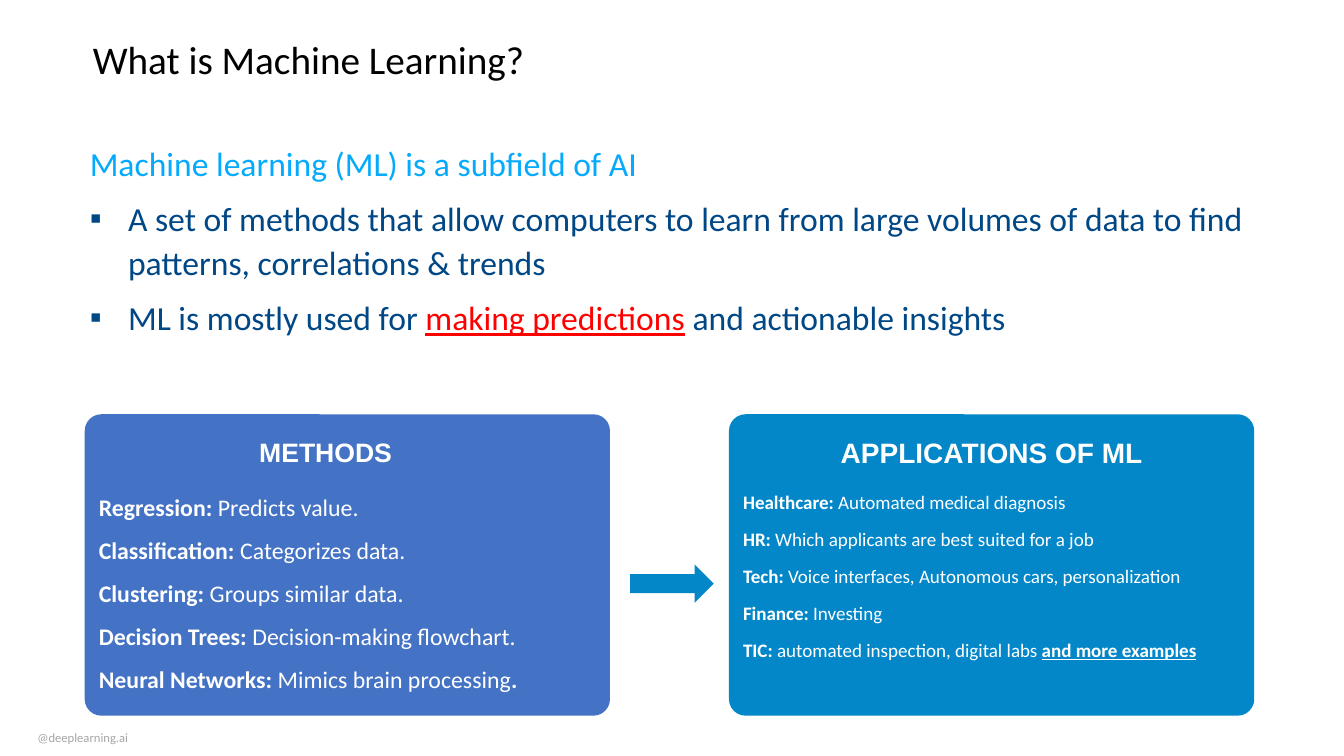
from dataclasses import dataclass

from lxml import etree
from pptx import Presentation
from pptx.dml.color import RGBColor
from pptx.enum.shapes import MSO_SHAPE
from pptx.enum.text import MSO_ANCHOR, MSO_AUTO_SIZE, PP_ALIGN
from pptx.oxml.ns import qn
from pptx.util import Inches, Pt

LEFT, CENTER = PP_ALIGN.LEFT, PP_ALIGN.CENTER
TOP, NO_FIT = MSO_ANCHOR.TOP, MSO_AUTO_SIZE.NONE
ROUNDED, ARROW = MSO_SHAPE.ROUNDED_RECTANGLE, MSO_SHAPE.RIGHT_ARROW


@dataclass(frozen=True)
class Theme:
    black: str = "000000"
    white: str = "FFFFFF"
    sky: str = "06AAFC"
    navy: str = "004785"
    red: str = "FF0000"
    indigo: str = "4472C4"
    ocean: str = "0487C8"
    gray: str = "A6A6A6"
    text_font: str = "Calibri"
    heading_font: str = "Arial"
    title_size: float = 28
    body_size: float = 24
    methods_heading_size: float = 19
    applications_heading_size: float = 20
    methods_size: float = 17
    applications_size: float = 13.6
    footer_size: float = 9


THEME = Theme()


def write(box, paragraphs, at=None, inset=0, size=12, color=THEME.black, font=THEME.text_font,
          align=LEFT, line=1.0, before=0, bullet_from=None):
    if at:
        box.left, box.top, box.width, box.height = [Inches(length) for length in at]
    frame = box.text_frame
    frame.word_wrap, frame.auto_size, frame.vertical_anchor = True, NO_FIT, TOP
    frame.margin_left = frame.margin_right = Inches(inset)
    frame.margin_top = frame.margin_bottom = Inches(inset)
    for index, pieces in enumerate(paragraphs):
        paragraph = frame.add_paragraph() if index else frame.paragraphs[0]
        if bullet_from is not None:
            properties = paragraph._p.get_or_add_pPr()
            bulleted = index >= bullet_from
            hang = Inches(0.38) if bulleted else 0
            properties.set("marL", str(hang))
            properties.set("indent", str(-hang))
            if bulleted:
                paragraph.level = 1
                bullet_color = etree.SubElement(properties, qn("a:buClr"))
                etree.SubElement(bullet_color, qn("a:srgbClr"), val=THEME.navy)
                etree.SubElement(properties, qn("a:buChar"), char="▪")
            else:
                etree.SubElement(properties, qn("a:buNone"))
        paragraph.alignment = align
        paragraph.line_spacing = line
        paragraph.space_before = Pt(before if index else 0)
        for text, style in pieces:
            run = paragraph.add_run()
            run.text = text
            run.font.name, run.font.size = font, Pt(size)
            run.font.bold = style.get("bold", False)
            run.font.underline = style.get("underline", False)
            run.font.color.rgb = RGBColor.from_string(style.get("color", color))


def draw(shapes, kind, at, color):
    shape = shapes.add_shape(kind, *[Inches(length) for length in at])
    shape.shadow.inherit = False
    shape.fill.solid()
    shape.fill.fore_color.rgb = RGBColor.from_string(color)
    shape.line.fill.background()
    return shape


PLAIN, BOLD = {}, {"bold": True}

presentation = Presentation()
presentation.slide_width, presentation.slide_height = Inches(13.33), Inches(7.5)
slide = presentation.slides.add_slide(presentation.slide_layouts[1])
title, definition = slide.placeholders

write(title, [[("What is Machine Learning?", PLAIN)]],
      at=(0.92, 0.4, 11.5, 0.53), size=THEME.title_size, line=0.9)

write(definition, [
    [("Machine learning (ML) is a subfield of AI", {"color": THEME.sky})],
    [("A set of methods that allow computers to learn from large volumes of data "
      "to find patterns, correlations & trends", PLAIN)],
    [("ML is mostly used for ", PLAIN),
     ("making predictions", {"color": THEME.red, "underline": True}),
     (" and actionable insights", PLAIN)],
], at=(0.89, 1.38, 11.5, 2.3), size=THEME.body_size, color=THEME.navy,
    line=1.1, before=7.5, bullet_from=1)

draw(slide.shapes, ARROW, (6.25, 5.6, 0.83, 0.38), THEME.ocean)

methods = [
    [("Regression:", BOLD), (" Predicts value.", PLAIN)],
    [("Classification:", BOLD), (" Categorizes data.", PLAIN)],
    [("Clustering:", BOLD), (" Groups similar data.", PLAIN)],
    [("Decision Trees:", BOLD), (" Decision-making flowchart.", PLAIN)],
    [("Neural Networks:", BOLD), (" Mimics brain processing", PLAIN), (".", BOLD)],
]
applications = [
    [("Healthcare: ", BOLD), ("Automated medical diagnosis", PLAIN)],
    [("HR: ", BOLD), ("Which applicants are best suited for a job", PLAIN)],
    [("Tech: ", BOLD), ("Voice interfaces, Autonomous cars, personalization", PLAIN)],
    [("Finance: ", BOLD), ("Investing", PLAIN)],
    [("TIC: ", BOLD), ("automated inspection, digital labs ", PLAIN),
     ("and more examples", {"bold": True, "underline": True})],
]
cards = [
    (0.84, THEME.indigo, "METHODS", (1.7, 4.36, 3.06, 0.37),
     THEME.methods_heading_size, methods, THEME.methods_size, 0),
    (7.23, THEME.ocean, "APPLICATIONS OF ML", (8.21, 4.36, 3.25, 0.59),
     THEME.applications_heading_size, applications, THEME.applications_size, 2),
]
for left, fill, heading, heading_at, heading_size, entries, entry_size, gap in cards:
    card = slide.shapes.add_group_shape().shapes
    panel = draw(card, ROUNDED, (left, 4.11, 5.21, 2.99), fill)
    panel.adjustments[0] = 0.055
    write(card.add_textbox(0, 0, 0, 0), [[(heading, BOLD)]], at=heading_at, inset=0.02,
          size=heading_size, color=THEME.white, font=THEME.heading_font,
          align=CENTER, line=0.81)
    write(card.add_textbox(0, 0, 0, 0), entries, at=(left + 0.12, 4.73, 4.97, 2.22),
          inset=0.02, size=entry_size, color=THEME.white, line=1.5, before=gap)

write(slide.shapes.add_textbox(0, 0, 0, 0), [[("@deeplearning.ai", PLAIN)]],
      at=(0.32, 7.19, 4.46, 0.25), inset=0.05, size=THEME.footer_size, color=THEME.gray)

presentation.save("out.pptx")
